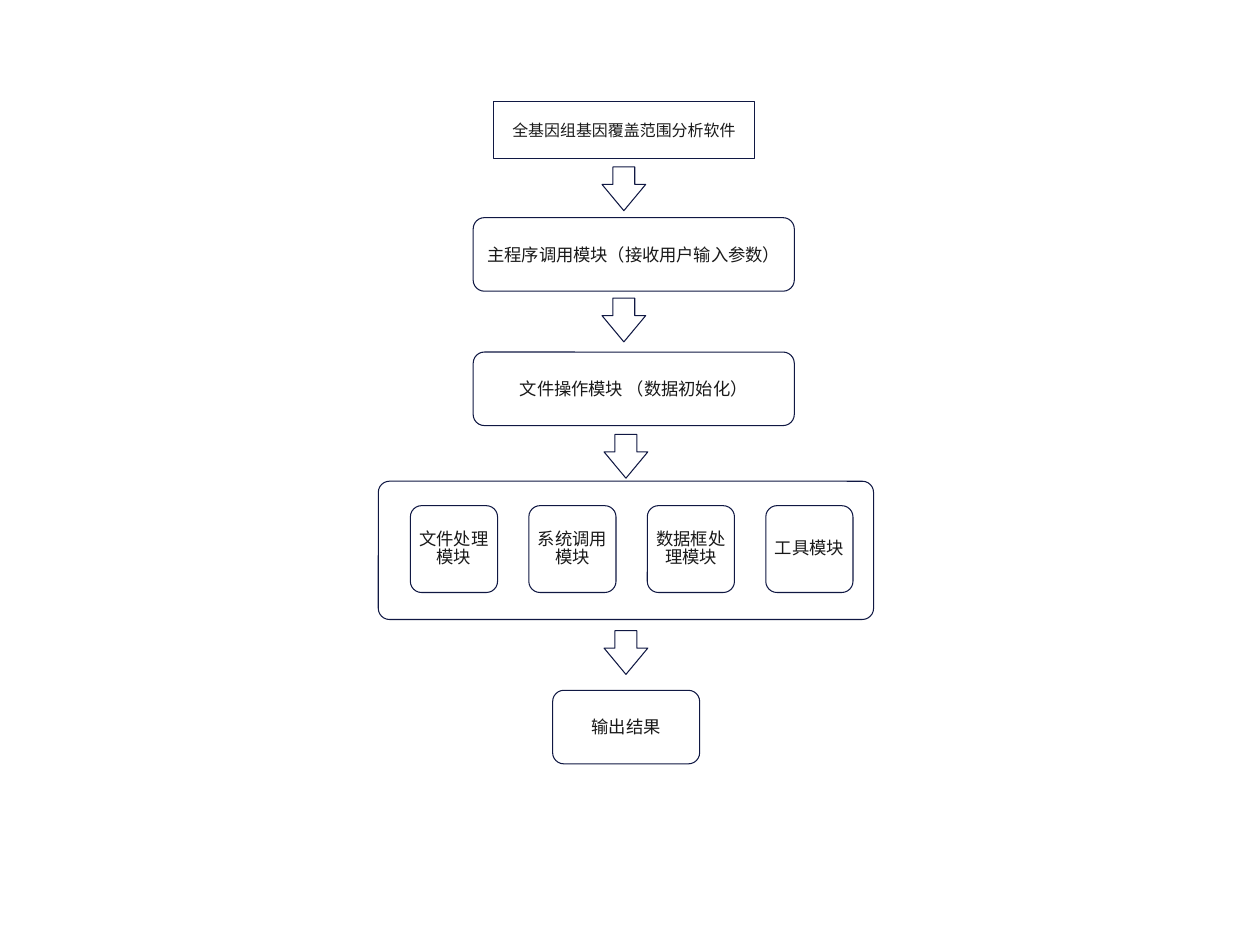
"""Build a flowchart slide of the gene coverage analysis software."""
import pptx
import pptx.dml.color
import pptx.enum.shapes
import pptx.enum.text
import pptx.oxml.ns
import pptx.util
import lxml.etree

Pt = pptx.util.Pt
SHAPE = pptx.enum.shapes.MSO_SHAPE
THEME = {
    "line": pptx.dml.color.RGBColor.from_string("101843"),
    "fill": pptx.dml.color.RGBColor.from_string("FFFFFF"),
    "text": pptx.dml.color.RGBColor.from_string("191919"),
    "font": "Noto Sans CJK SC",
    "title_size": 9.1,
    "body_size": 9.9,
    "line_width": 0.6,
    "radius": 6.4,
    "inset": 2,
}

deck = pptx.Presentation()
deck.slide_width, deck.slide_height = Pt(720), Pt(540)
slide = deck.slides.add_slide(deck.slide_layouts[6])


def add_outlined(kind, left, top, width, height):
    outlined = slide.shapes.add_shape(kind, Pt(left), Pt(top), Pt(width), Pt(height))
    outlined.shadow.inherit = False
    outlined.fill.solid()
    outlined.fill.fore_color.rgb = THEME["fill"]
    outlined.line.color.rgb = THEME["line"]
    outlined.line.width = Pt(THEME["line_width"])
    if kind == SHAPE.ROUNDED_RECTANGLE:
        outlined.adjustments[0] = THEME["radius"] / min(width, height)
    return outlined


def add_label(step, text, size, spacing=None):
    frame = step.text_frame
    frame.text = text
    frame.word_wrap = True
    frame.vertical_anchor = pptx.enum.text.MSO_ANCHOR.MIDDLE
    frame.margin_left = frame.margin_right = Pt(THEME["inset"])
    frame.margin_top = frame.margin_bottom = Pt(THEME["inset"])
    paragraph = frame.paragraphs[0]
    paragraph.alignment = pptx.enum.text.PP_ALIGN.CENTER
    paragraph.line_spacing = spacing
    font = paragraph.runs[0].font
    font.size = Pt(size)
    font.color.rgb = THEME["text"]
    font.name = THEME["font"]
    east_asian = lxml.etree.SubElement(
        paragraph.runs[0]._r.get_or_add_rPr(), pptx.oxml.ns.qn("a:ea"))
    east_asian.set("typeface", THEME["font"])


software = add_outlined(SHAPE.RECTANGLE, 281.9, 57.8, 149.3, 32.7)
add_label(software, "全基因组基因覆盖范围分析软件", THEME["title_size"])

steps = [
    ("主程序调用模块（接收用户输入参数）", 270.4, 124.4, 183.5),
    ("文件操作模块 （数据初始化）", 270.4, 201.2, 183.5),
    ("输出结果", 315.8, 394.5, 84),
]
for text, left, top, width in steps:
    step = add_outlined(SHAPE.ROUNDED_RECTANGLE, left, top, width, 42)
    add_label(step, text, THEME["body_size"])

module_group = add_outlined(SHAPE.ROUNDED_RECTANGLE, 216.2, 275, 283, 79)
module_group.fill.background()

modules = ["文件处理模块", "系统调用模块", "数据框处理模块", "工具模块"]
for column, text in enumerate(modules):
    module = add_outlined(
        SHAPE.ROUNDED_RECTANGLE, 234.5 + column * 67.7, 289, 49.8, 49.6)
    add_label(module, text, THEME["body_size"], 0.86)

for left, top in [(344, 95.4), (344, 170.4), (345.2, 248.3), (345.2, 360.4)]:
    arrow = add_outlined(SHAPE.DOWN_ARROW, left, top, 25, 25)
    arrow.adjustments[0] = 0.5
    arrow.adjustments[1] = 0.6

deck.save("out.pptx")
